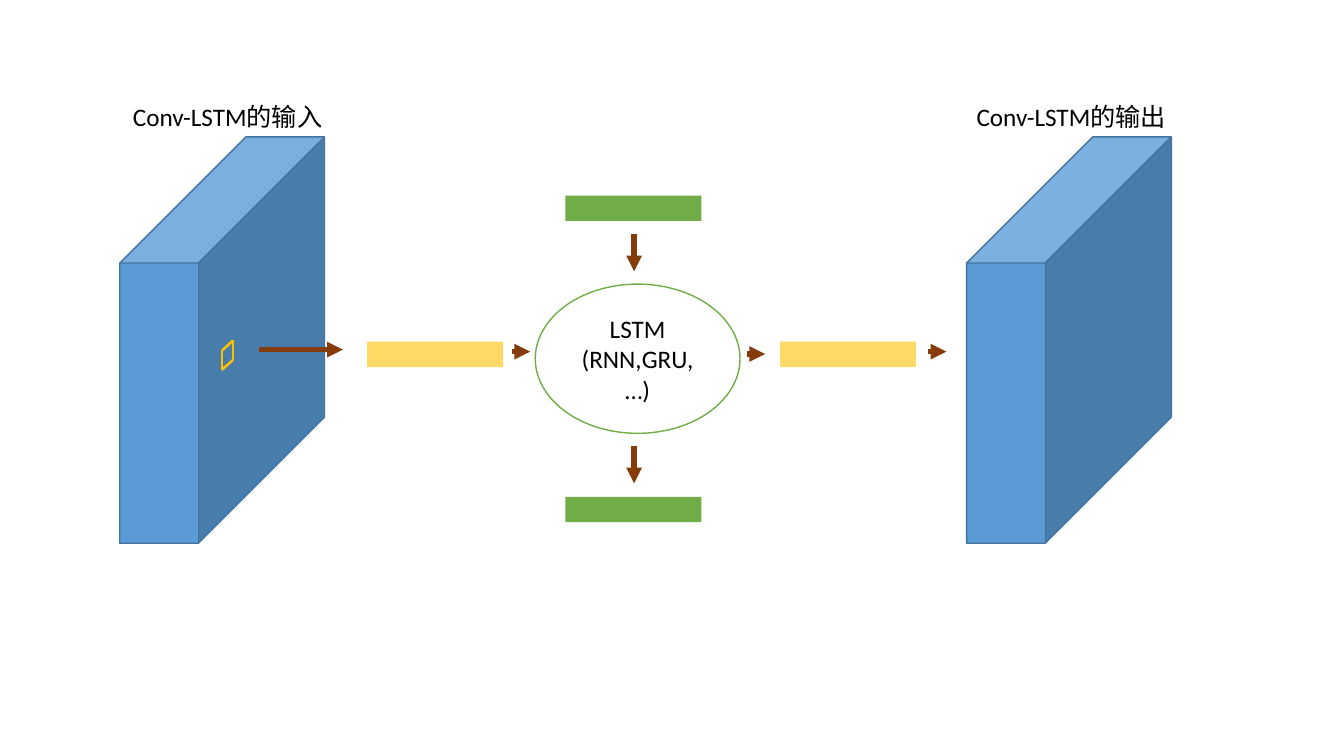
from itertools import pairwise

from lxml import etree
from pptx import Presentation
from pptx.dml.color import RGBColor
from pptx.enum.shapes import MSO_CONNECTOR, MSO_SHAPE
from pptx.enum.text import MSO_ANCHOR, PP_ALIGN
from pptx.oxml.ns import qn
from pptx.util import Cm, Pt

CUBE, RECTANGLE, OVAL = MSO_SHAPE.CUBE, MSO_SHAPE.RECTANGLE, MSO_SHAPE.OVAL
STRAIGHT = MSO_CONNECTOR.STRAIGHT
LEFT, CENTER = PP_ALIGN.LEFT, PP_ALIGN.CENTER
TOP, MIDDLE = MSO_ANCHOR.TOP, MSO_ANCHOR.MIDDLE

BLUE = RGBColor(0x5B, 0x9B, 0xD5)
DARK_BLUE = RGBColor(0x43, 0x73, 0x9E)
GOLD = RGBColor(0xFF, 0xC0, 0x00)
YELLOW = RGBColor(0xFF, 0xD9, 0x66)
GREEN = RGBColor(0x70, 0xAD, 0x47)
BROWN = RGBColor(0x84, 0x3C, 0x0B)
WHITE = RGBColor(0xFF, 0xFF, 0xFF)
BLACK = RGBColor(0x00, 0x00, 0x00)

# Content, lengths in cm
CUBE_LEFTS = [3.02, 24.36]
CUBE_TOP, CUBE_WIDTH, CUBE_HEIGHT = 3.45, 5.16, 10.24
LABELS = [("Conv-LSTM的输入", 3.1, 5.36), ("Conv-LSTM的输出", 24.36, 5.54)]
LABEL_TOP, LABEL_HEIGHT = 2.44, 1.02
CELL_LINES = ["LSTM", "(RNN,GRU,…)"]
CELL_BOX = (13.49, 7.16, 5.16, 3.76)
BARS = [(9.25, 8.61, YELLOW), (14.25, 4.93, GREEN),
        (14.25, 12.52, GREEN), (19.66, 8.61, YELLOW)]
BAR_WIDTH, BAR_HEIGHT = 3.43, 0.64
PATCH_CORNERS = [(5.87, 8.58), (5.59, 8.84), (5.59, 9.32), (5.87, 9.07)]
# start x, start y, run across, run down
ARROWS = [(6.53, 8.81, 2.11, 0), (12.9, 8.86, 0.46, 0), (18.82, 8.92, 0.46, 0),
          (23.39, 8.86, 0.46, 0), (15.98, 5.89, 0, 0.95), (15.98, 11.23, 0, 0.95)]

presentation = Presentation()
presentation.slide_width, presentation.slide_height = Cm(33.87), Cm(19.05)
slide = presentation.slides.add_slide(presentation.slide_layouts[6])


def add_box(kind, box, fill, line=None):
    shape = slide.shapes.add_shape(kind, *map(Cm, box))
    shape.shadow.inherit = False
    shape.fill.solid()
    shape.fill.fore_color.rgb = fill
    if line is None:
        shape.line.fill.background()
    else:
        shape.line.color.rgb = line
        shape.line.width = Pt(1)
    return shape


def write_text(shape, lines, align=LEFT, anchor=TOP, size=18, color=BLACK):
    frame = shape.text_frame
    frame.word_wrap = True
    frame.vertical_anchor = anchor
    frame.text = "\n".join(lines)
    for paragraph in frame.paragraphs:
        paragraph.alignment = align
        paragraph.font.name = "Calibri"
        paragraph.font.size = Pt(size)
        paragraph.font.color.rgb = color


def add_line(start, end, color, width, arrow=False):
    connector = slide.shapes.add_connector(STRAIGHT, *map(Cm, (*start, *end)))
    connector.line.color.rgb = color
    connector.line.width = Pt(width)
    if arrow:
        etree.SubElement(connector.line._get_or_add_ln(), qn("a:tailEnd"), type="triangle")
    etree.SubElement(connector._element.spPr, qn("a:effectLst"))


# Input and output volumes
for left in CUBE_LEFTS:
    cube = add_box(CUBE, (left, CUBE_TOP, CUBE_WIDTH, CUBE_HEIGHT), BLUE, DARK_BLUE)
    cube.adjustments[0] = 0.616

# Patch on the side of the input volume
for start, end in pairwise(PATCH_CORNERS + PATCH_CORNERS[:1]):
    add_line(start, end, GOLD, 1.75)

# Feature and state vectors
for left, top, color in BARS:
    add_box(RECTANGLE, (left, top, BAR_WIDTH, BAR_HEIGHT), color)

# Recurrent cell
cell = add_box(OVAL, CELL_BOX, WHITE, GREEN)
write_text(cell, CELL_LINES, align=CENTER, anchor=MIDDLE)

# Volume labels
for text, left, width in LABELS:
    label = slide.shapes.add_textbox(Cm(left), Cm(LABEL_TOP), Cm(width), Cm(LABEL_HEIGHT))
    write_text(label, [text])

# Flow arrows
for x, y, across, down in ARROWS:
    add_line((x, y), (x + across, y + down), BROWN, 3.75, arrow=True)

presentation.save("out.pptx")
